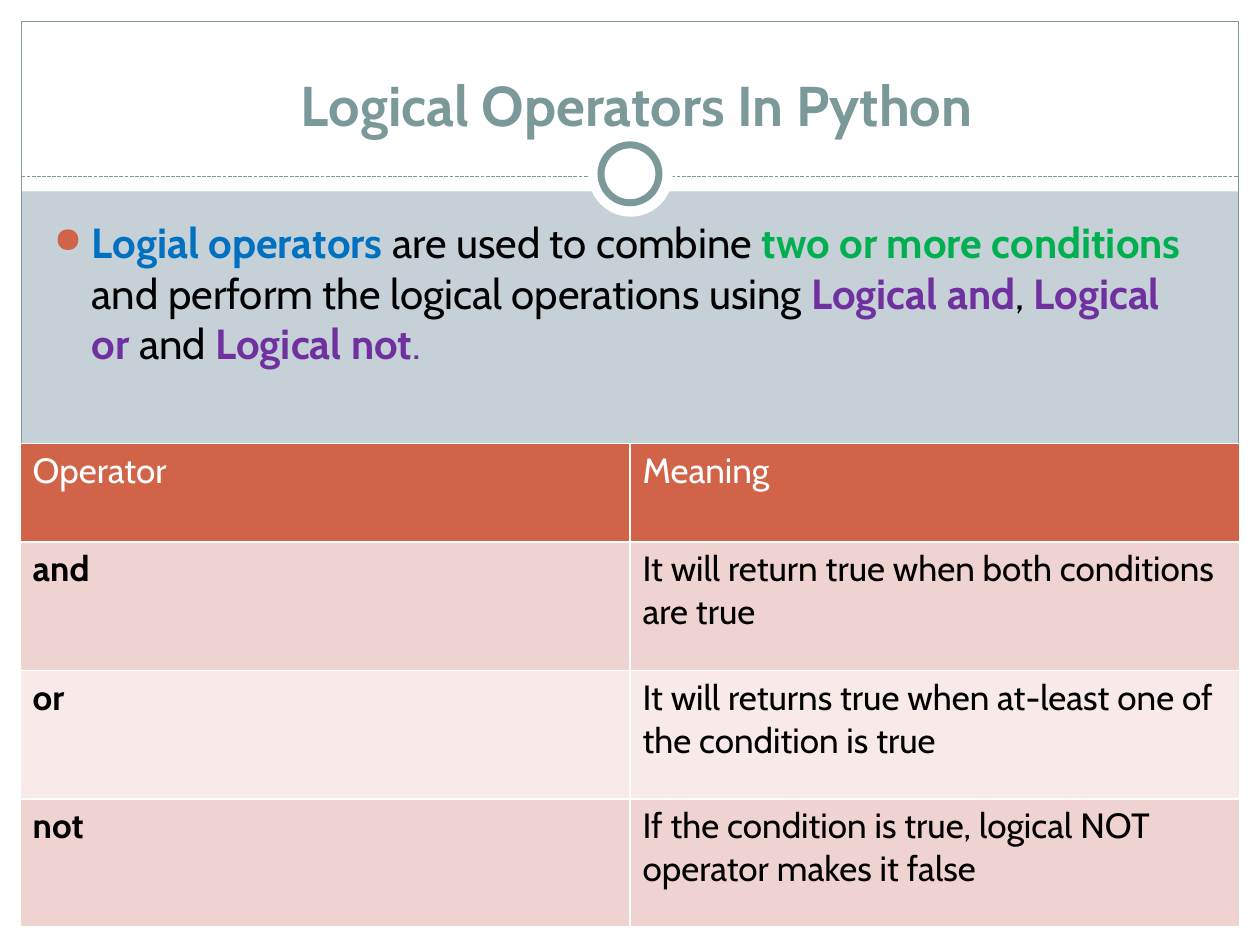
from lxml import etree
from pptx import Presentation
from pptx.dml.color import RGBColor
from pptx.enum.dml import MSO_LINE
from pptx.enum.shapes import MSO_CONNECTOR, MSO_SHAPE
from pptx.enum.text import MSO_ANCHOR, PP_ALIGN
from pptx.oxml.ns import qn
from pptx.util import Inches, Pt

RECTANGLE = MSO_SHAPE.RECTANGLE
OVAL = MSO_SHAPE.OVAL
STRAIGHT = MSO_CONNECTOR.STRAIGHT
DASH = MSO_LINE.SQUARE_DOT
TOP, BOTTOM = MSO_ANCHOR.TOP, MSO_ANCHOR.BOTTOM
LEFT, CENTER = PP_ALIGN.LEFT, PP_ALIGN.CENTER

WHITE = RGBColor(0xFF, 0xFF, 0xFF)
BLACK = RGBColor(0x00, 0x00, 0x00)
BACKGROUND = RGBColor(0xC5, 0xD1, 0xD7)
TEAL = RGBColor(0x7C, 0x99, 0x9A)
FOOTER_TEAL = RGBColor(0x8C, 0xAD, 0xAE)
ORANGE = RGBColor(0xD1, 0x63, 0x49)
DARK_BAND = RGBColor(0xEE, 0xD3, 0xD0)
LIGHT_BAND = RGBColor(0xF7, 0xEA, 0xE9)
BLUE = RGBColor(0x00, 0x70, 0xC0)
GREEN = RGBColor(0x00, 0xB0, 0x50)
PURPLE = RGBColor(0x70, 0x30, 0xA0)

WIDTH, HEIGHT, MARGIN = 10, 7.5, 0.17


class SlideBuilder:
    font_name = "Cabin"

    def __init__(self, slide):
        self.slide = slide
        background = slide.background.fill
        background.solid()
        background.fore_color.rgb = BACKGROUND

    def shape(self, kind, left, top, width, height, fill=None, line=None, weight=0.75):
        shape = self.slide.shapes.add_shape(
            kind, Inches(left), Inches(top), Inches(width), Inches(height))
        shape.shadow.inherit = False
        if fill is None:
            shape.fill.background()
        else:
            shape.fill.solid()
            shape.fill.fore_color.rgb = fill
        if line is None:
            shape.line.fill.background()
        else:
            shape.line.color.rgb = line
            shape.line.width = Pt(weight)

    def dashed_rule(self, left, right, y, color):
        rule = self.slide.shapes.add_connector(
            STRAIGHT, Inches(left), Inches(y), Inches(right), Inches(y))
        rule.line.color.rgb = color
        rule.line.width = Pt(0.75)
        rule.line.dash_style = DASH
        etree.SubElement(rule.element.spPr, qn("a:effectLst"))

    def run(self, paragraph, text, size, color, bold=False):
        run = paragraph.add_run()
        run.text = text
        run.font.name = self.font_name
        run.font.size = Pt(size)
        run.font.bold = bold
        run.font.color.rgb = color

    def bullet(self, paragraph, color):
        properties = paragraph._p.get_or_add_pPr()
        properties.set("marL", str(Inches(0.3)))
        properties.set("indent", str(Inches(-0.3)))
        tint = etree.SubElement(properties, qn("a:buClr"))
        etree.SubElement(tint, qn("a:srgbClr"), val=str(color))
        etree.SubElement(properties, qn("a:buSzPct"), val="85000")
        etree.SubElement(properties, qn("a:buChar"), char="●")

    def text(self, left, top, width, height, runs, size, anchor=TOP, align=LEFT, bullet=None):
        box = self.slide.shapes.add_textbox(
            Inches(left), Inches(top), Inches(width), Inches(height))
        frame = box.text_frame
        frame.word_wrap = True
        frame.vertical_anchor = anchor
        paragraph = frame.paragraphs[0]
        paragraph.alignment = align
        if bullet is not None:
            self.bullet(paragraph, bullet)
        for words, color, bold in runs:
            self.run(paragraph, words, size, color, bold)

    def cell(self, cell, text, size, fill, color, bold):
        properties = cell._tc.get_or_add_tcPr()
        for side in ("a:lnL", "a:lnR", "a:lnT", "a:lnB"):
            border = etree.SubElement(properties, qn(side), w=str(Pt(1)))
            solid = etree.SubElement(border, qn("a:solidFill"))
            etree.SubElement(solid, qn("a:srgbClr"), val=str(WHITE))
        cell.fill.solid()
        cell.fill.fore_color.rgb = fill
        self.run(cell.text_frame.paragraphs[0], text, size, color, bold)

    def table(self, left, top, column_width, row_heights, rows, size):
        columns = len(rows[0])
        table = self.slide.shapes.add_table(
            len(rows), columns, Inches(left), Inches(top),
            Inches(column_width * columns), Inches(sum(row_heights))).table
        for column in table.columns:
            column.width = Inches(column_width)
        for r, (values, height) in enumerate(zip(rows, row_heights)):
            table.rows[r].height = Inches(height)
            header = r == 0
            fill = ORANGE if header else DARK_BAND if r % 2 else LIGHT_BAND
            for c, value in enumerate(values):
                self.cell(table.cell(r, c), value, size, fill,
                          WHITE if header else BLACK, not header and c == 0)


def main():
    presentation = Presentation()
    presentation.slide_width = Inches(WIDTH)
    presentation.slide_height = Inches(HEIGHT)
    builder = SlideBuilder(presentation.slides.add_slide(presentation.slide_layouts[6]))

    inner_width, inner_height = WIDTH - 2 * MARGIN, HEIGHT - 2 * MARGIN
    for margin_strip in (
        (0, HEIGHT - MARGIN, WIDTH, MARGIN),
        (0, 0, WIDTH, 1.52),
        (0, 0, MARGIN, HEIGHT),
        (WIDTH - MARGIN, 0, MARGIN, HEIGHT),
    ):
        builder.shape(RECTANGLE, *margin_strip, fill=WHITE)
    builder.shape(RECTANGLE, MARGIN, 6.99, inner_width, 0.34, fill=FOOTER_TEAL)
    builder.shape(RECTANGLE, MARGIN, MARGIN, inner_width, inner_height, line=TEAL)
    builder.dashed_rule(MARGIN, WIDTH - MARGIN, 1.4, TEAL)
    builder.shape(OVAL, 4.67, 1.05, 0.67, 0.67, fill=WHITE)
    builder.shape(OVAL, 4.77, 1.15, 0.46, 0.46, fill=WHITE, line=TEAL, weight=4)

    builder.text(0.39, 0.31, 9.33, 0.83, [("Logical Operators In Python", TEAL, True)],
                 32, anchor=BOTTOM, align=CENTER)

    definition = [
        ("Logial operators ", BLUE, True),
        ("are used to combine ", BLACK, False),
        ("two or more conditions ", GREEN, True),
        ("and perform the logical operations using ", BLACK, False),
        ("Logical and", PURPLE, True),
        (", ", BLACK, False),
        ("Logical or ", PURPLE, True),
        ("and ", BLACK, False),
        ("Logical not", PURPLE, True),
        (".", PURPLE, False),
    ]
    builder.text(0.33, 1.67, 9.3, 5.31, definition, 24, bullet=ORANGE)

    operators = [
        ("Operator", "Meaning"),
        ("and", "It will return true when both conditions are true"),
        ("or", "It will returns true when at-least one of the condition is true"),
        ("not", "If the condition is true, logical NOT operator makes it false"),
    ]
    builder.table(0.16, 3.52, 4.84, [0.78, 1.02, 1.02, 1.02], operators, 20)

    presentation.save("out.pptx")


if __name__ == "__main__":
    main()
